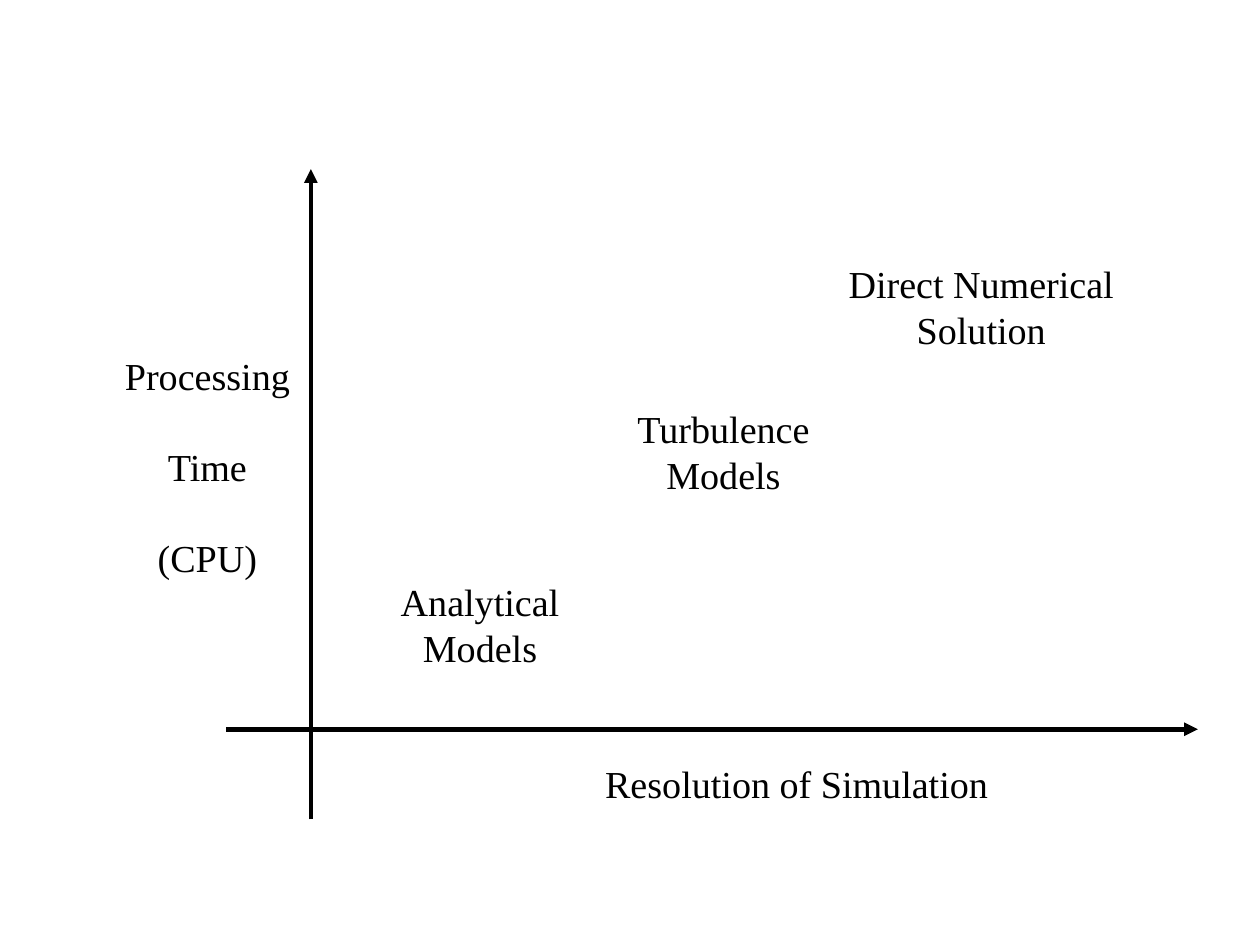
from lxml.etree import SubElement
from pptx import Presentation
from pptx.dml.color import RGBColor
from pptx.enum.shapes import MSO_CONNECTOR
from pptx.enum.text import MSO_AUTO_SIZE, PP_ALIGN
from pptx.oxml.ns import qn
from pptx.util import Inches, Pt


def color(hex_value):
    return RGBColor.from_string(hex_value)


INK = "000000"

# Page of 28 by 21 centimetres
deck = Presentation()
deck.slide_width, deck.slide_height = Inches(28 / 2.54), Inches(21 / 2.54)
page = deck.slides.add_slide(deck.slide_layouts[6])
page.background.fill.solid()
page.background.fill.fore_color.rgb = color("FFFFFF")

# Axes: start and end points
axes = [
    (2.72, 7.17, 2.72, 1.48),
    (1.98, 6.38, 10.48, 6.38),
]
for ends in axes:
    axis = page.shapes.add_connector(
        MSO_CONNECTOR.STRAIGHT, *[Inches(value) for value in ends])
    axis.line.color.rgb = color(INK)
    axis.line.width = Pt(2.89)
    SubElement(axis.line._get_or_add_ln(), qn("a:tailEnd"), type="triangle")
    SubElement(axis._element.spPr, qn("a:effectLst"))

# Labels: left, top, width, height, gap between lines in points, lines
labels = [
    (0.75, 3.03, 2.13, 2.57, 28.7, ["Processing", "Time", "(CPU)"]),
    (3.22, 5.01, 1.96, 1.11, 0, ["Analytical", "Models"]),
    (5.28, 3.5, 2.1, 1.11, 0, ["Turbulence", "Models"]),
    (7.03, 2.23, 3.11, 1.11, 0, ["Direct Numerical", "Solution"]),
    (4.78, 6.6, 4.38, 0.62, 0, ["Resolution of Simulation"]),
]
for left, top, width, height, gap, lines in labels:
    box = page.shapes.add_textbox(
        Inches(left), Inches(top), Inches(width), Inches(height))
    frame = box.text_frame
    frame.word_wrap = True
    frame.auto_size = MSO_AUTO_SIZE.SHAPE_TO_FIT_TEXT
    for index, line in enumerate(lines):
        para = frame.add_paragraph() if index else frame.paragraphs[0]
        para.alignment = PP_ALIGN.CENTER
        para.space_before = Pt(gap if index else 0)
        span = para.add_run()
        span.text = line
        span.font.name = "Times New Roman"
        span.font.size = Pt(24)
        span.font.color.rgb = color(INK)

deck.save("out.pptx")
